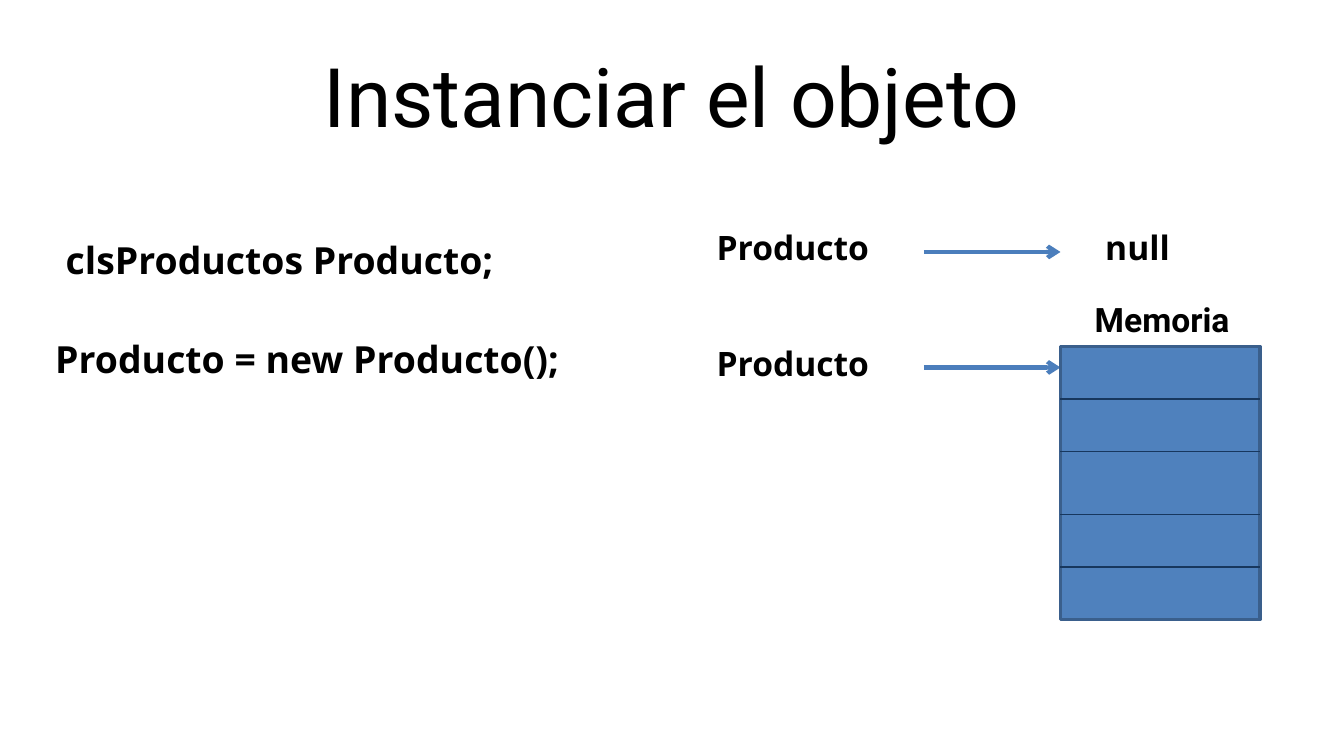
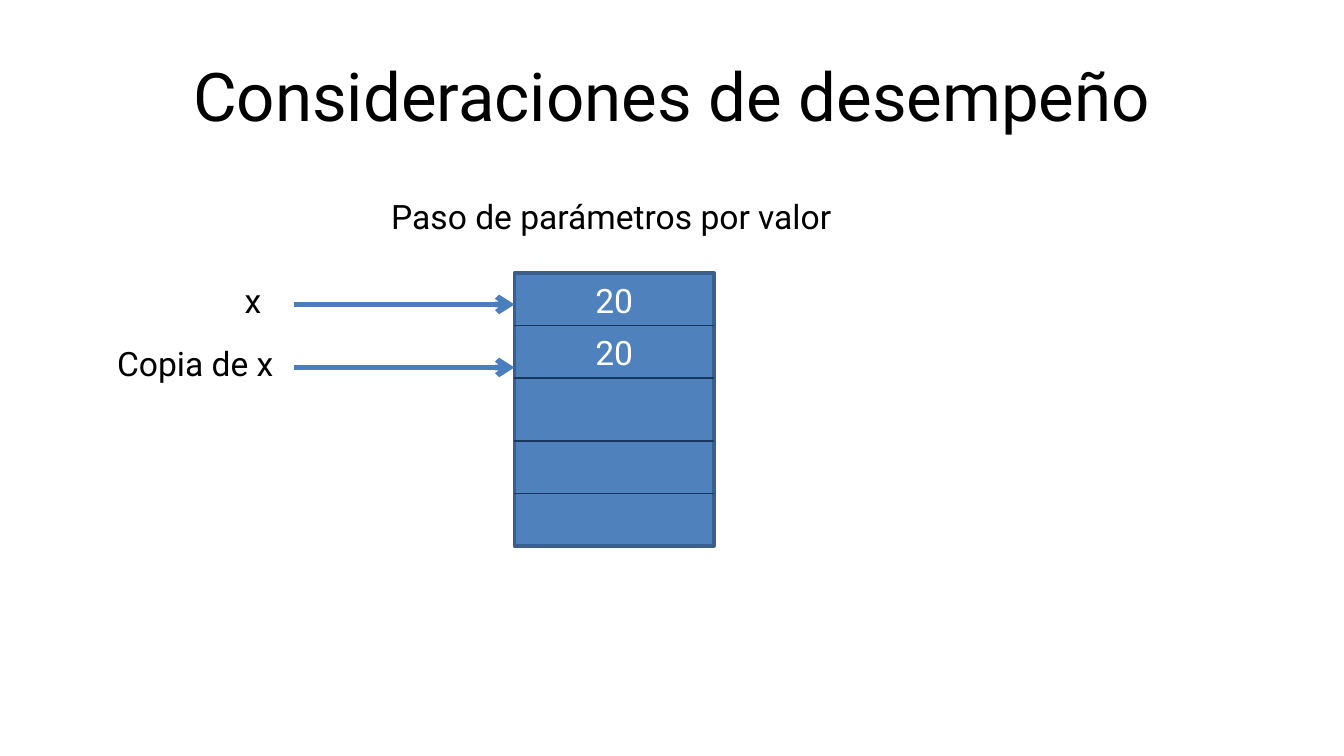
from pptx import Presentation
from pptx.dml.color import RGBColor
from pptx.enum.shapes import MSO_CONNECTOR as CONN, MSO_SHAPE as SHAPE
from pptx.enum.text import MSO_ANCHOR as ANCHOR, MSO_AUTO_SIZE as AUTO, PP_ALIGN as ALIGN
from pptx.oxml.ns import qn
from pptx.util import Inches, Pt
from lxml.etree import SubElement


def rgb(color):
    return RGBColor.from_string(color)


class Deck:
    COLS, ROWS = 128, 72
    INK, WHITE = "000000", "FFFFFF"
    FILL, EDGE, RULE, ARROW = "4F81BD", "3A5F8C", "17375E", "4B7EBC"
    BODY, CODE = "Roboto", "Open Sans"
    MEM_W, MEM_H = 19, 26
    MEM_RULES = (5, 10, 16, 21)

    def __init__(self):
        self.prs = Presentation()
        self.prs.slide_width = Inches(10)
        self.prs.slide_height = Inches(5.625)
        self.s = None

    def x(self, cols):
        return round(self.prs.slide_width * cols / self.COLS)

    def y(self, rows):
        return round(self.prs.slide_height * rows / self.ROWS)

    def box(self, col, row, cols, rows):
        return self.x(col), self.y(row), self.x(cols), self.y(rows)

    def run(self, p, text, size, font, color, bold=False):
        r = p.add_run()
        r.text = text
        r.font.size = Pt(size)
        r.font.name = font
        r.font.bold = bold
        r.font.color.rgb = rgb(color)

    def slide(self, title, size):
        self.s = self.prs.slides.add_slide(self.prs.slide_layouts[5])
        sp = self.s.shapes.title
        sp.left, sp.top, sp.width, sp.height = self.box(6.4, 3, 115.2, 12)
        tf = sp.text_frame
        tf.vertical_anchor = ANCHOR.MIDDLE
        p = tf.paragraphs[0]
        p.alignment = ALIGN.CENTER
        self.run(p, title, size, self.BODY, self.INK)

    def text(self, text, col, row, cols, size=18, font=BODY, color=INK,
             bold=False, align=ALIGN.LEFT):
        rows = 5.6 if size > 18 else 5.15
        tf = self.s.shapes.add_textbox(*self.box(col, row, cols, rows)).text_frame
        tf.word_wrap = True
        tf.auto_size = AUTO.SHAPE_TO_FIT_TEXT
        p = tf.paragraphs[0]
        p.alignment = align
        self.run(p, text, size, font, color, bold)

    def code(self, text, col, row, cols, size=18):
        self.text(text, col, row, cols, size, self.CODE, bold=True)

    def label(self, text, col, row, cols, color=INK):
        self.text(text, col, row, cols, color=color, align=ALIGN.CENTER)

    def line(self, col, row, end, color, width):
        sp = self.s.shapes.add_connector(
            CONN.STRAIGHT, self.x(col), self.y(row), self.x(end), self.y(row))
        sp.line.color.rgb = rgb(color)
        sp.line.width = Pt(width)
        SubElement(sp._element.spPr, qn("a:effectLst"))
        return sp

    def arrow(self, col, row, end, width):
        sp = self.line(col, row, end, self.ARROW, width)
        SubElement(sp.line._get_or_add_ln(), qn("a:tailEnd")).set("type", "arrow")

    def memory(self, col, row):
        sp = self.s.shapes.add_shape(
            SHAPE.RECTANGLE, *self.box(col, row, self.MEM_W, self.MEM_H))
        sp.shadow.inherit = False
        sp.fill.solid()
        sp.fill.fore_color.rgb = rgb(self.FILL)
        sp.line.color.rgb = rgb(self.EDGE)
        sp.line.width = Pt(2)
        for offset in self.MEM_RULES:
            self.line(col, row + offset, col + self.MEM_W, self.RULE, 0.75)


deck = Deck()

deck.slide("Instanciar el objeto", 44)
deck.code("clsProductos Producto;", 5, 22, 49, 20)
deck.code("Producto = new Producto();", 4, 31.4, 63, 20)
deck.code("null", 104, 21, 14)
for row in (21, 32):
    deck.code("Producto", 67, row, 19)
    deck.arrow(88, row + 3, 101, 2.25)
deck.memory(101, 33)
deck.text("Memoria", 103, 27.8, 17, bold=True)

deck.slide("Consideraciones de desempeño", 36)
deck.memory(49, 26)
deck.text("Paso de parámetros por valor", 36, 18, 47)
deck.label("x ", 21, 26, 7)
deck.label("Copia de x ", 8, 32, 22)
for row in (29, 35):
    deck.arrow(28, row, 49, 3)
for row in (26, 31):
    deck.label("20", 51, row, 15, deck.WHITE)

deck.prs.save("out.pptx")
